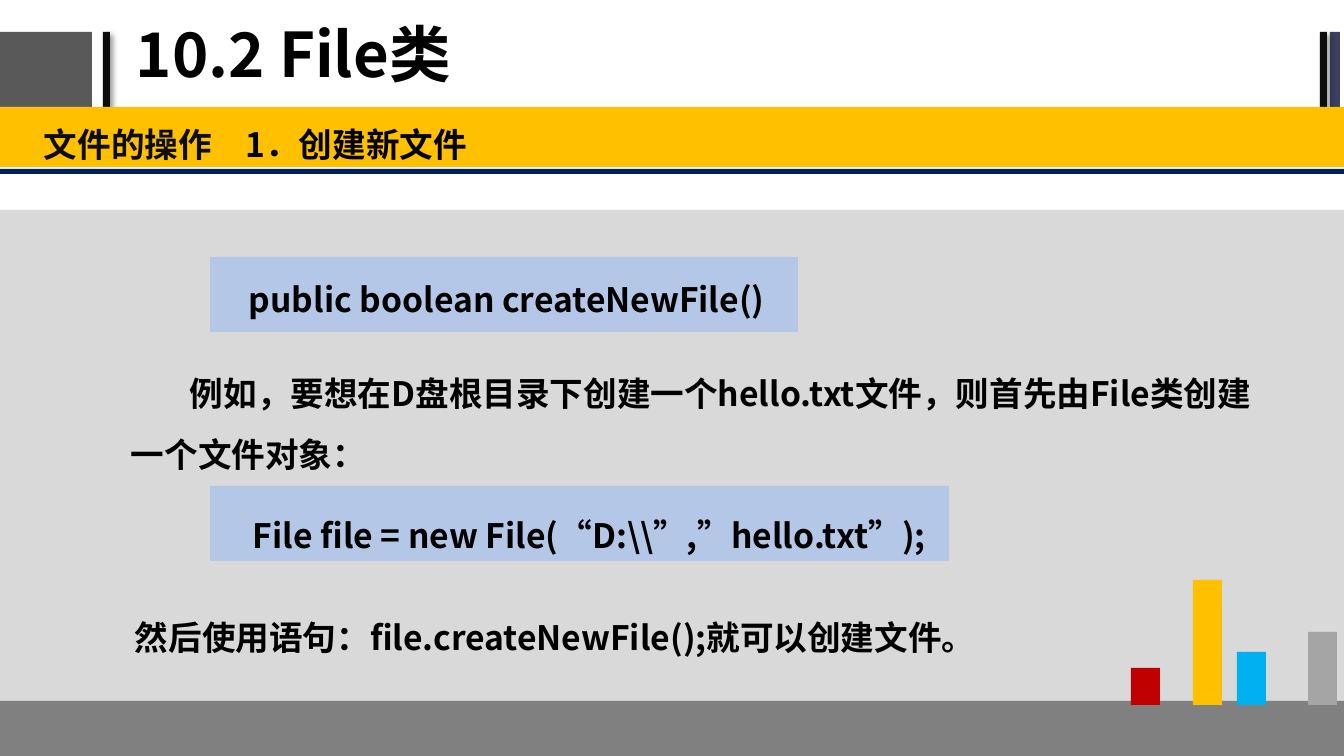
from lxml import etree
from pptx import Presentation, util as u
from pptx.dml.color import RGBColor
from pptx.enum import shapes, text
from pptx.oxml.ns import qn

PX = 914400 / 100.8
FONT = "Noto Sans CJK SC"
BLACK = RGBColor(0x00, 0x00, 0x00)
INK = RGBColor(0x0D, 0x0D, 0x0D)
CHARCOAL = RGBColor(0x59, 0x59, 0x59)
SLATE = RGBColor(0x3B, 0x3F, 0x60)
NAVY = RGBColor(0x00, 0x20, 0x60)
PALE = RGBColor(0xD9, 0xD9, 0xD9)
GREY = RGBColor(0x80, 0x80, 0x80)
SILVER = RGBColor(0xA5, 0xA5, 0xA5)
AMBER = RGBColor(0xFF, 0xC0, 0x00)
CODE_BLUE = RGBColor(0xB4, 0xC7, 0xE7)
SKY = RGBColor(0x00, 0xB0, 0xF0)
RED = RGBColor(0xC0, 0x00, 0x00)

deck = Presentation()
deck.slide_width, deck.slide_height = round(1344 * PX), round(756 * PX)
slide = deck.slides.add_slide(deck.slide_layouts[6])


def add_block(left, top, width, height, color):
    box = [round(v * PX) for v in (left, top, width, height)]
    block = slide.shapes.add_shape(shapes.MSO_SHAPE.RECTANGLE, *box)
    block.shadow.inherit = False
    block.fill.solid()
    block.fill.fore_color.rgb = color
    block.line.fill.background()
    return block


def add_words(box, runs, size=24, inset=(13, 7), spacing=1.5, before=4.8,
              anchor=text.MSO_ANCHOR.TOP, margin=0, indent=0):
    words = slide.shapes.add_textbox(*[round(v * PX) for v in box])
    side, edge = [round(v * PX) for v in inset]
    frame_format = {"word_wrap": True, "vertical_anchor": anchor,
                    "margin_left": side, "margin_right": side,
                    "margin_top": edge, "margin_bottom": edge}
    for key, value in frame_format.items():
        setattr(words.text_frame, key, value)
    line = words.text_frame.paragraphs[0]
    line.line_spacing = spacing
    line.space_before = u.Pt(before)
    props = line._p.get_or_add_pPr()
    props.set("marL", str(round(margin * PX)))
    props.set("indent", str(round(indent * PX)))
    for wording, color in runs:
        run = line.add_run()
        run.text = wording
        for key, value in {"size": u.Pt(size), "bold": True, "name": FONT}.items():
            setattr(run.font, key, value)
        run.font.color.rgb = color
        etree.SubElement(run._r.get_or_add_rPr(), qn("a:ea"), typeface=FONT)
    return line


add_block(0, 32, 92, 76, CHARCOAL)
for left, width, color, shaded in [(103, 7, INK, True), (1330, 10, SLATE, False),
                                   (1320, 7, INK, True)]:
    stripe = add_block(left, 32, width, 76, color)
    if shaded:
        effects = stripe._element.spPr.find(qn("a:effectLst"))
        shade = etree.SubElement(effects, qn("a:outerShdw"), blurRad="50800",
                                 dist="38100", dir="2700000", algn="tl", rotWithShape="0")
        tint = etree.SubElement(shade, qn("a:srgbClr"), val="000000")
        etree.SubElement(tint, qn("a:alpha"), val="40000")

for top, height, color in [(210, 491, PALE), (701, 55, GREY),
                           (169, 5, NAVY), (107, 60, AMBER)]:
    add_block(0, top, 1344, height, color)

add_words((126, 2, 854, 111), [("10.2 File类", BLACK)], size=44, inset=(10, 5),
          spacing=0.9, before=0, anchor=text.MSO_ANCHOR.MIDDLE)

heading = add_words((31, 109, 1313, 58),
                    [("文件的操作\t", INK), ("1．创建新文件", BLACK)], spacing=1.2)
tabs = etree.SubElement(heading._p.get_or_add_pPr(), qn("a:tabLst"))
etree.SubElement(tabs, qn("a:tab"), pos=str(round(284 * PX)), algn="l")

for top, width in [(257, 588), (486, 739)]:
    add_block(210, top, width, 75, CODE_BLUE)

for left, top, wording, margin, indent in [
    (118, 252, "public boolean createNewFile()", 118, 0),
    (118, 346, "例如，要想在D盘根目录下创建一个hello.txt文件，则首先由File类创建一个文件对象：", 0, 59),
    (122, 488, "File file = new File(“D:\\\\”,”hello.txt”);", 118, 0),
    (122, 590, "然后使用语句：file.createNewFile();就可以创建文件。", 0, 0),
]:
    add_words((left, top, 1150, 57), [(wording, BLACK)], margin=margin, indent=indent)

for left, height, color in [(1308, 73, SILVER), (1237, 53, SKY),
                            (1193, 125, AMBER), (1131, 37, RED)]:
    add_block(left, 705 - height, 29, height, color)

deck.save("out.pptx")
